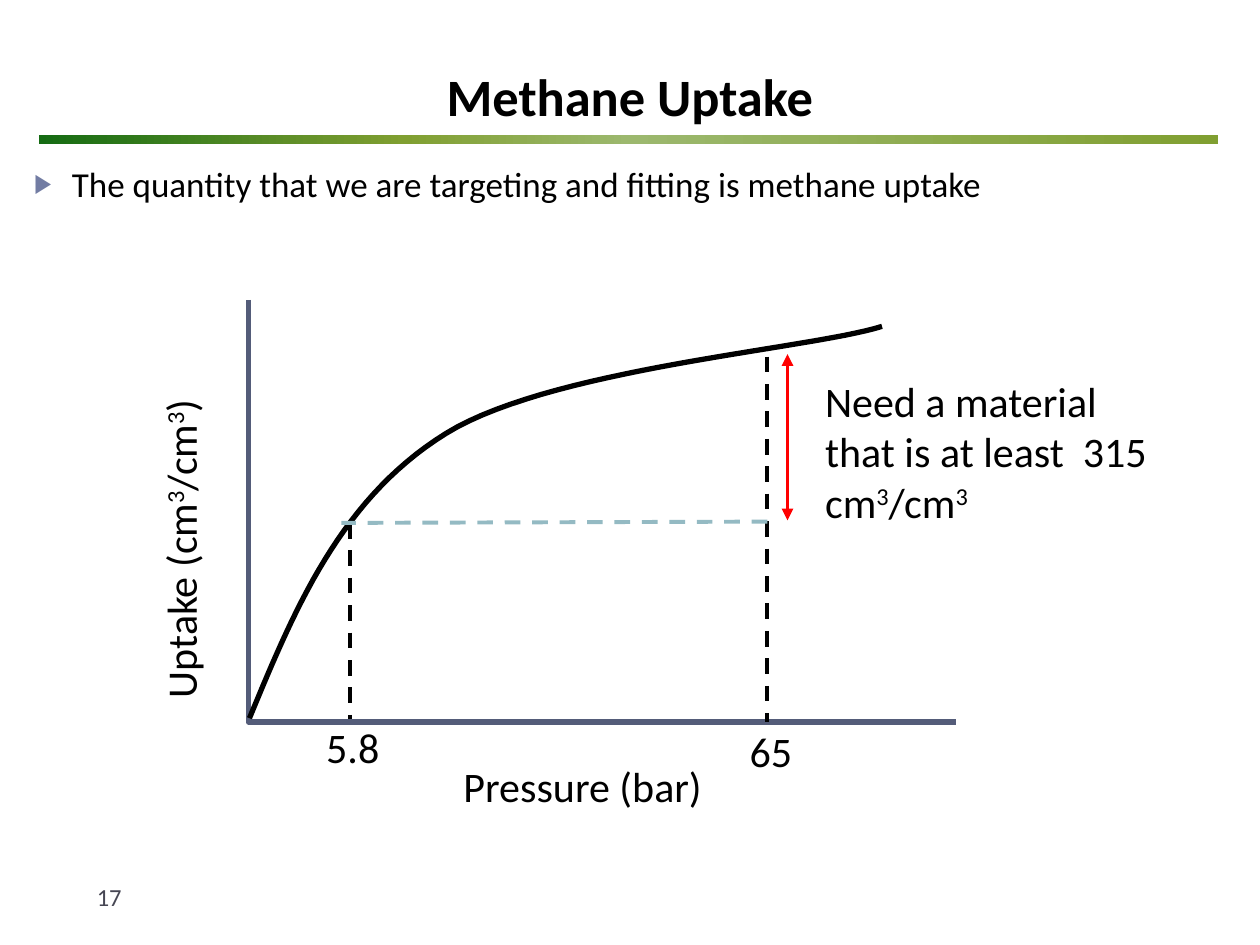
"""Build the methane uptake slide with its sketched adsorption curve."""
from lxml.etree import SubElement
from pptx import Presentation
from pptx.dml.color import RGBColor
from pptx.enum.dml import MSO_LINE
from pptx.enum.shapes import MSO_CONNECTOR, MSO_SHAPE
from pptx.enum.text import MSO_ANCHOR, MSO_AUTO_SIZE, PP_ALIGN
from pptx.oxml.ns import qn
from pptx.util import Inches, Pt

FONT = "Calibri"
BLACK = RGBColor(0x00, 0x00, 0x00)
GRAY = RGBColor(0x46, 0x46, 0x53)
SLATE = RGBColor(0x54, 0x5C, 0x79)
BULLET = RGBColor(0x72, 0x7C, 0xA3)
RED = RGBColor(0xFF, 0x00, 0x00)
TEAL = RGBColor(0x94, 0xBA, 0xC3)
OLIVE = RGBColor(0x80, 0x9F, 0x31)
SAGE = RGBColor(0x9C, 0xB8, 0x6E)
GREEN = RGBColor(0x15, 0x6B, 0x13)

TITLE = "Methane Uptake"
BODY = "The quantity that we are targeting and fitting is methane uptake"
RULE_STOPS = [(0, OLIVE), (50, SAGE), (69, OLIVE), (100, GREEN)]
LABELS = [
    ("Uptake (cm^3^/cm^3^)", (-0.2, 3.76, 3.26, 0.5), {"rotation": 270}),
    ("Pressure (bar)", (3.58, 5.99, 2.72, 0.5), {}),
    ("5.8", (2.49, 5.68, 0.72, 0.5), {}),
    ("65", (5.85, 5.71, 0.61, 0.5), {}),
    ("Need a material that is at least  315 cm^3^/cm^3^", (6.45, 2.93, 2.95, 1.31), {}),
    ("17", (0.67, 6.95, 2.17, 0.4), {"size": 14, "color": GRAY}),
]
AXES = [(1.97, 2.38), (1.97, 5.73), (7.59, 5.73)]
CURVE = [
    [(1.98, 5.7), (2.34, 4.83), (2.7, 3.96), (3.54, 3.44)],
    [(3.54, 3.44), (4.38, 2.92), (6.44, 2.77), (7, 2.59)],
]
CURVE_STEPS = 30
GUIDES = [
    ((2.78, 4.15), (2.78, 5.71), BLACK, True),
    ((6.09, 2.83), (6.09, 5.73), BLACK, True),
    ((6.25, 2.81), (6.25, 4.13), RED, False),
    ((6.09, 4.14), (2.71, 4.15), TEAL, True),
]


def write_text(shape, text, size=24, color=BLACK, bold=False, align=PP_ALIGN.LEFT,
               anchor=MSO_ANCHOR.TOP, auto_size=MSO_AUTO_SIZE.NONE, bullet=None, rotation=0):
    shape.rotation = rotation
    frame = shape.text_frame
    frame.word_wrap = True
    frame.auto_size = auto_size
    frame.vertical_anchor = anchor
    paragraph = frame.paragraphs[0]
    paragraph.alignment = align
    paragraph.space_before = Pt(0)
    if bullet:
        properties = paragraph._p.get_or_add_pPr()
        properties.set("marL", str(Inches(0.3)))
        properties.set("indent", str(-Inches(0.3)))
        color_element = SubElement(properties, qn("a:buClr"))
        SubElement(color_element, qn("a:srgbClr"), val=str(BULLET))
        SubElement(properties, qn("a:buSzPct"), val="76000")
        SubElement(properties, qn("a:buFont"), typeface=FONT)
        SubElement(properties, qn("a:buChar"), char=bullet)
    for index, part in enumerate(text.split("^")):
        if not part:
            continue
        run = paragraph.add_run()
        run.text = part
        run.font.name = FONT
        run.font.size = Pt(size)
        run.font.bold = bold
        run.font.color.rgb = color
        if index % 2:
            run._r.get_or_add_rPr().set("baseline", "30000")


def place(shape, left, top, width, height):
    shape.left, shape.top = Inches(left), Inches(top)
    shape.width, shape.height = Inches(width), Inches(height)


def add_rule(slide):
    rule = slide.shapes.add_shape(
        MSO_SHAPE.RECTANGLE, Inches(0.31), Inches(1.07), Inches(9.36), Inches(0.07))
    rule.shadow.inherit = False
    rule.line.fill.background()
    rule.fill.gradient()
    rule.fill.gradient_angle = 180
    stops = rule._element.spPr.find(qn("a:gradFill")).find(qn("a:gsLst"))
    for stop in list(stops):
        stops.remove(stop)
    for position, color in RULE_STOPS:
        stop = SubElement(stops, qn("a:gs"), pos=str(position * 1000))
        SubElement(stop, qn("a:srgbClr"), val=str(color))


def bezier_point(points, t):
    weights = ((1 - t) ** 3, 3 * t * (1 - t) ** 2, 3 * t ** 2 * (1 - t), t ** 3)
    return tuple(sum(w * p[axis] for w, p in zip(weights, points)) for axis in (0, 1))


def add_outline(slide, points, color):
    scaled = [(Inches(x), Inches(y)) for x, y in points]
    builder = slide.shapes.build_freeform(*scaled[0])
    builder.add_line_segments(scaled[1:], close=False)
    outline = builder.convert_to_shape()
    outline.shadow.inherit = False
    outline.fill.background()
    outline.line.color.rgb = color
    outline.line.width = Pt(3)


def add_guide(slide, start, end, color, dashed):
    guide = slide.shapes.add_connector(
        MSO_CONNECTOR.STRAIGHT, *(Inches(value) for value in start + end))
    guide.line.color.rgb = color
    guide.line.width = Pt(2.25)
    if dashed:
        guide.line.dash_style = MSO_LINE.DASH
    else:
        line = guide.line._get_or_add_ln()
        for arrow in ("a:headEnd", "a:tailEnd"):
            SubElement(line, qn(arrow), type="triangle")
    SubElement(guide._element.spPr, qn("a:effectLst"))


def main():
    presentation = Presentation()
    presentation.slide_width, presentation.slide_height = Inches(10), Inches(7.5)
    slide = presentation.slides.add_slide(presentation.slide_layouts[1])
    add_rule(slide)

    title, body = slide.shapes.title, slide.placeholders[1]
    place(title, 0, 0, 10, 1.06)
    write_text(title, TITLE, size=30, bold=True, align=PP_ALIGN.CENTER, anchor=MSO_ANCHOR.BOTTOM)
    place(body, 0.17, 1.24, 9.37, 0.44)
    write_text(body, BODY, size=20, bullet="▶")

    add_outline(slide, AXES, SLATE)
    curve = [bezier_point(segment, step / CURVE_STEPS)
             for segment in CURVE for step in range(CURVE_STEPS + 1)]
    add_outline(slide, curve, BLACK)
    for guide in GUIDES:
        add_guide(slide, *guide)
    for text, box, style in LABELS:
        label = slide.shapes.add_textbox(*(Inches(value) for value in box))
        write_text(label, text, auto_size=MSO_AUTO_SIZE.SHAPE_TO_FIT_TEXT, **style)

    presentation.save("out.pptx")


if __name__ == "__main__":
    main()
